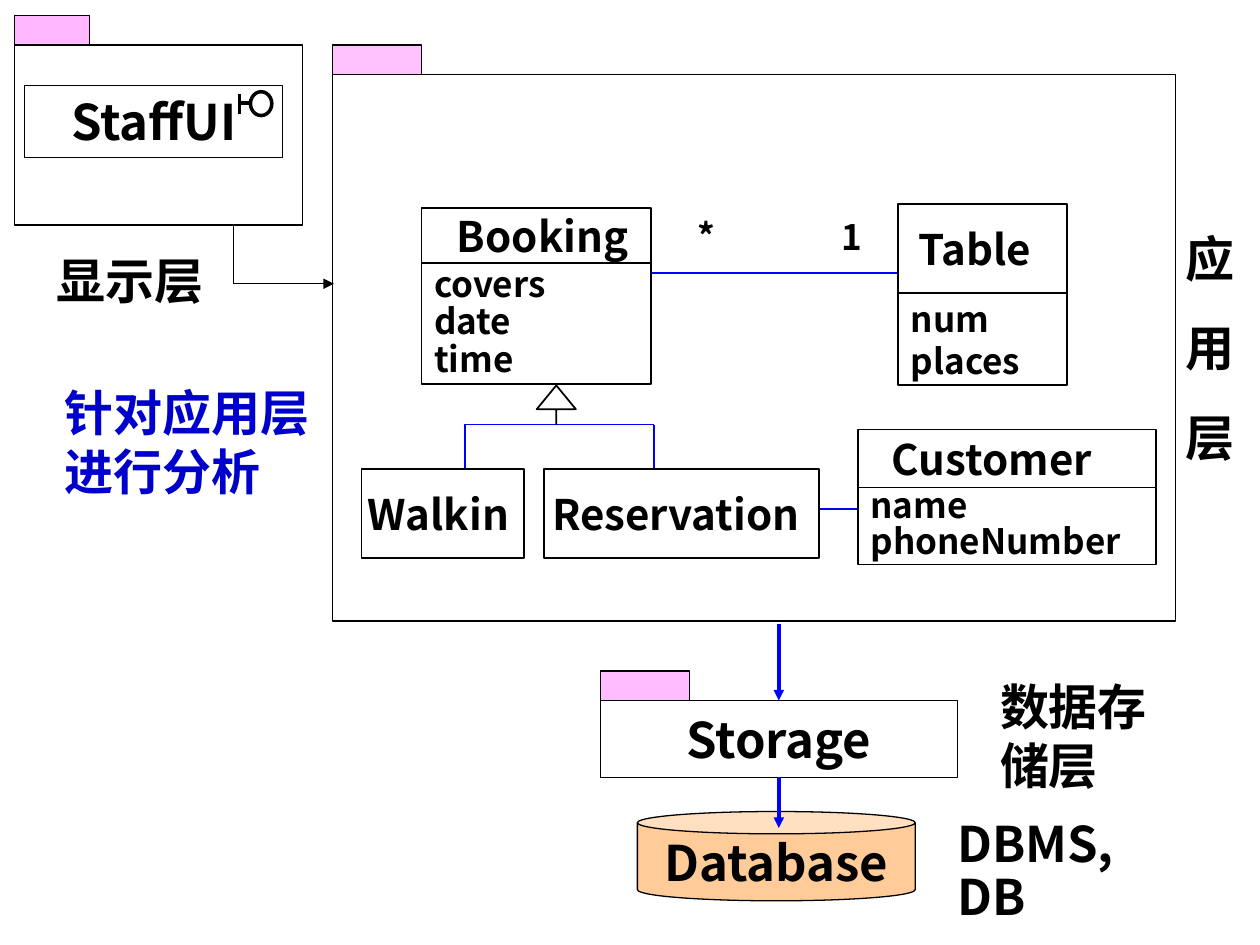
"""Builds the layered class diagram of a restaurant booking system."""
import lxml.etree
import pptx
import pptx.dml.color
import pptx.enum.shapes
import pptx.enum.text
import pptx.oxml.ns
import pptx.util

Cm, Pt = pptx.util.Cm, pptx.util.Pt
qn = pptx.oxml.ns.qn
SHAPES = pptx.enum.shapes.MSO_SHAPE
ALIGN = pptx.enum.text.PP_ALIGN
ANCHOR = pptx.enum.text.MSO_ANCHOR
FIT = pptx.enum.text.MSO_AUTO_SIZE

FONT = "Noto Sans CJK SC"
COLORS = {"ink": "000000", "link": "0000FF", "note": "0000CC",
          "tab": "FF00FF", "store": "FFCC99", "paper": "FFFFFF"}
TAB_HEIGHT = 0.59
SIDE, EDGE = 0.25, 0.13

PACKAGES = [
    {"area": (6.7, 1.5, 17, 11.02), "tab": 1.8, "alpha": 24, "title": ""},
    {"area": (12.1, 14.12, 7.2, 1.55), "tab": 1.8, "alpha": 26, "title": "Storage"},
    {"area": (0.3, 0.91, 5.8, 3.63), "tab": 1.5, "alpha": 28, "title": ""},
]

CLASSES = [
    {"name": "Booking", "corner": (8.5, 4.2), "width": 4.62, "heights": (1.1, 2.45),
     "attributes": ["covers", "date", "time"], "spacing": 0.9, "sides": (0.51, SIDE)},
    {"name": "Table", "corner": (18.11, 4.11), "width": 3.4, "heights": (1.8, 1.85),
     "attributes": ["num", "places"], "spacing": 1.0, "sides": (SIDE, 0.58)},
    {"name": "Customer", "corner": (17.3, 8.66), "width": 6, "heights": (1.17, 1.55),
     "attributes": ["name", "phoneNumber"], "spacing": 0.85, "sides": (0.68, SIDE),
     "align": ALIGN.LEFT, "fill": "paper"},
    {"name": "Reservation", "corner": (10.97, 9.45), "width": 5.54, "heights": (1.8,),
     "sides": (SIDE, 0.48), "fill": "paper"},
    {"name": "Walkin", "corner": (7.29, 9.45), "width": 3.28, "heights": (1.8,),
     "sides": (SIDE, 0.43), "fill": "paper"},
]

LABELS = [
    (["显示层"], (0.89, 4.93, 3.81, 1.45), 28, "ink", (SIDE, EDGE), {}),
    (["应", "用", "层"], (23.9, 4.47, 0.81, 5.05), 28, "ink", (0, EDGE), {"space_before": Pt(17.5)}),
    (["数据存储层"], (19.91, 13.51, 3.61, 2.64), 28, "ink", (SIDE, EDGE), {}),
    (["DBMS, DB"], (19.3, 16.54, 3.78, 2.13), 28, "ink", (0, 0), {"line_spacing": 0.9}),
    (["1"], (16.71, 4.22, 0.79, 1.12), 20, "ink", (SIDE, EDGE), {}),
    (["*"], (14.07, 4.32, 0.46, 0.84), 20, "ink", (0, 0), {}),
    (["针对应用层", "进行分析"], (1.3, 7.72, 5, 2.36), 28, "note", (0, 0), {}),
]

LINES = [
    ((4.83, 2.08), (5.05, 2.08), "ink", 2, False),
    ((4.83, 1.9), (4.83, 2.29), "ink", 2, False),
    ((4.7, 4.52), (4.7, 5.72), "ink", 0.75, False),
    ((4.7, 5.72), (6.73, 5.72), "ink", 0.75, True),
    ((13.11, 5.51), (18.11, 5.51), "link", 1, False),
    ((9.35, 8.56), (13.18, 8.56), "link", 1, False),
    ((9.37, 8.56), (9.37, 9.55), "link", 1, False),
    ((13.18, 8.56), (13.18, 9.55), "link", 1, False),
    ((15.52, 10.26), (17.91, 10.26), "link", 1, False),
]


def color(key):
    return pptx.dml.color.RGBColor.from_string(COLORS[key])


def set_values(target, values):
    for key, value in values.items():
        setattr(target, key, value)


def write(shape, lines, size, ink="ink", sides=(SIDE, SIDE), edge=EDGE, frame=None, paragraph=None):
    text_frame = shape.text_frame
    set_values(text_frame, {
        "margin_left": Cm(sides[0]), "margin_right": Cm(sides[1]),
        "margin_top": Cm(edge), "margin_bottom": Cm(edge),
        "word_wrap": False, "vertical_anchor": ANCHOR.MIDDLE, **(frame or {})})
    for index, line in enumerate(lines):
        item = text_frame.paragraphs[0] if index == 0 else text_frame.add_paragraph()
        set_values(item, {"alignment": ALIGN.LEFT, **(paragraph or {})})
        if index == 0:
            item.space_before = Pt(0)
        run = item.add_run()
        run.text = line
        set_values(run.font, {"size": Pt(size), "name": FONT, "bold": True})
        run.font.color.rgb = color(ink)
        east_asian = lxml.etree.SubElement(run.font._element, qn("a:ea"))
        east_asian.set("typeface", FONT)


def add_box(slide, area, kind=SHAPES.RECTANGLE, fill=None, width=0.75, alpha=None):
    shape = slide.shapes.add_shape(kind, *map(Cm, area))
    shape.shadow.inherit = False
    shape.line.color.rgb = color("ink")
    shape.line.width = Pt(width)
    if fill is None:
        shape.fill.background()
    else:
        shape.fill.solid()
        shape.fill.fore_color.rgb = color(fill)
    if alpha:
        tint = shape._element.spPr.find(qn("a:solidFill")).find(qn("a:srgbClr"))
        lxml.etree.SubElement(tint, qn("a:alpha")).set("val", str(alpha * 1000))
    return shape


def add_line(slide, start, end, ink, width, arrow):
    line = slide.shapes.add_connector(
        pptx.enum.shapes.MSO_CONNECTOR.STRAIGHT, *map(Cm, start + end))
    line.line.color.rgb = color(ink)
    line.line.width = Pt(width)
    if arrow:
        lxml.etree.SubElement(line.line._get_or_add_ln(), qn("a:tailEnd")).set("type", "triangle")
    lxml.etree.SubElement(line._element.spPr, qn("a:effectLst"))
    return line


def add_package(slide, package):
    left, top, _, _ = package["area"]
    body = add_box(slide, package["area"])
    if package["title"]:
        write(body, [package["title"]], 28, paragraph={"alignment": ALIGN.CENTER})
    add_box(slide, (left, top - TAB_HEIGHT, package["tab"], TAB_HEIGHT),
            fill="tab", alpha=package["alpha"])
    return body


def add_class(slide, entry):
    left, top = entry["corner"]
    fill, heights = entry.get("fill"), entry["heights"]
    head = add_box(slide, (left, top, entry["width"], heights[0]), fill=fill, width=1)
    write(head, [entry["name"]], 24, sides=entry["sides"],
          paragraph={"alignment": entry.get("align", ALIGN.CENTER)})
    if "attributes" in entry:
        body = add_box(slide, (left, top + heights[0], entry["width"], heights[1]),
                       fill=fill, width=1)
        write(body, entry["attributes"], 20, paragraph={"line_spacing": entry["spacing"]})


def main():
    deck = pptx.Presentation()
    set_values(deck, {"slide_width": Cm(25.4), "slide_height": Cm(19.05)})
    slide = deck.slides.add_slide(deck.slide_layouts[6])

    storage = [add_package(slide, package) for package in PACKAGES][1]
    centered = {"alignment": ALIGN.CENTER}
    database = add_box(slide, (12.85, 16.36, 5.6, 1.8), SHAPES.CAN, "store")
    database.adjustments[0] = 0.25
    write(database, ["Database"], 28, paragraph=centered)
    staff = add_box(slide, (0.5, 1.72, 5.2, 1.45))
    write(staff, ["StaffUI"], 28, paragraph=centered)
    add_box(slide, (5.05, 1.85, 0.43, 0.48), SHAPES.OVAL, width=2)

    for line in LINES:
        add_line(slide, *line)
    add_line(slide, (15.7, 12.57), (15.7, 14.12), "link", 2, True).end_connect(storage, 0)
    add_line(slide, (15.7, 15.67), (15.7, 16.69), "link", 2, True).begin_connect(storage, 2)

    inheritance = add_box(slide, (10.82, 7.77, 0.79, 0.79), SHAPES.UP_ARROW, "paper", 1)
    inheritance.adjustments[0], inheritance.adjustments[1] = 0, 0.61
    for entry in CLASSES:
        add_class(slide, entry)

    frame = {"word_wrap": True, "vertical_anchor": ANCHOR.TOP, "auto_size": FIT.SHAPE_TO_FIT_TEXT}
    for lines, area, size, ink, (side, edge), paragraph in LABELS:
        label = slide.shapes.add_textbox(*map(Cm, area))
        write(label, lines, size, ink, (side, side), edge, frame, paragraph)
    deck.save("out.pptx")


if __name__ == "__main__":
    main()
